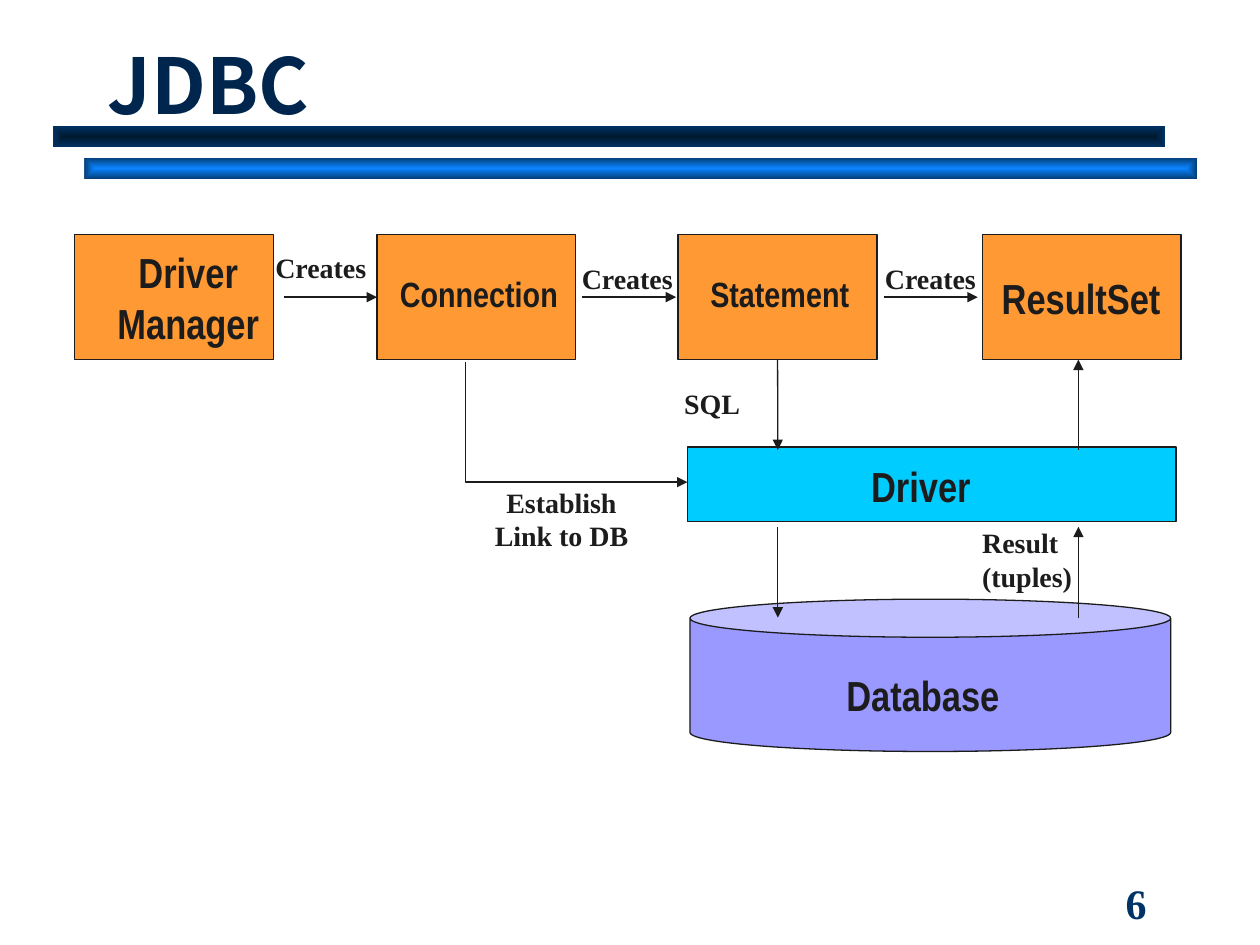
"""Builds the JDBC slide: the objects from driver manager to result set, over driver and database."""
from dataclasses import dataclass
from typing import NamedTuple

from lxml import etree
from pptx import Presentation
from pptx.dml.color import RGBColor
from pptx.enum.shapes import MSO_CONNECTOR, MSO_SHAPE
from pptx.enum.text import MSO_ANCHOR, MSO_AUTO_SIZE, PP_ALIGN
from pptx.oxml.ns import qn
from pptx.util import Cm, Pt

RECTANGLE, CAN = MSO_SHAPE.RECTANGLE, MSO_SHAPE.CAN
STRAIGHT = MSO_CONNECTOR.STRAIGHT
LEFT, CENTER = PP_ALIGN.LEFT, PP_ALIGN.CENTER
TOP, MIDDLE, BOTTOM = MSO_ANCHOR.TOP, MSO_ANCHOR.MIDDLE, MSO_ANCHOR.BOTTOM
FIXED, GROWING = MSO_AUTO_SIZE.NONE, MSO_AUTO_SIZE.SHAPE_TO_FIT_TEXT
LEFT_SITE, BOTTOM_SITE = 1, 2


@dataclass(frozen=True)
class Theme:
    ink: str = "1C1C1C"
    title: str = "00264D"
    number: str = "003366"
    api: str = "FF9933"
    driver: str = "00CCFF"
    database: str = "9999FF"
    dark_bar: tuple = ("00182F", "003366")
    bright_bar: tuple = ("0A84FF", "053D76")
    title_font: str = "Noto Sans CJK SC"
    part_font: str = "Arial Narrow"
    note_font: str = "Times New Roman"
    title_size: int = 44
    large: int = 24
    medium: int = 20
    small: int = 16
    line: float = 0.75


class Area(NamedTuple):
    left: float
    top: float
    width: float
    height: float

    def cm(self) -> list:
        return [Cm(length) for length in self]


class Part(NamedTuple):
    text: str
    area: Area
    label: Area
    color: str
    size: int
    outline: int = RECTANGLE


class Note(NamedTuple):
    text: str
    area: Area
    align: int = LEFT


THEME = Theme()
BARS = [(Area(1.7, 3.18, 22.43, 0.43), THEME.bright_bar),
        (Area(1.06, 2.54, 22.43, 0.43), THEME.dark_bar)]
API_TOP, API_WIDTH, API_HEIGHT = 4.73, 4.01, 2.52
API_MIDDLE = API_TOP + API_HEIGHT / 2


def api_part(text: str, left: float, label: Area, size: int) -> Part:
    """Describe one box of the top row."""
    return Part(text, Area(left, API_TOP, API_WIDTH, API_HEIGHT), label, THEME.api, size)


API_PARTS = [
    api_part("Driver\nManager", 1.5, Area(2.04, 4.85, 3.51, 2.29), THEME.large),
    api_part("Connection", 7.6, Area(7.75, 5.36, 3.81, 1.09), THEME.medium),
    api_part("Statement", 13.67, Area(13.99, 5.36, 3.46, 1.09), THEME.medium),
    api_part("ResultSet", 19.8, Area(19.89, 5.36, 3.81, 1.27), THEME.large),
]
BACKEND_PARTS = [
    Part("Driver", Area(13.86, 9.01, 9.85, 1.5), Area(17.26, 9.15, 2.61, 1.27),
         THEME.driver, THEME.large),
    Part("Database", Area(13.91, 12.08, 9.69, 3.07), Area(16.75, 13.37, 3.71, 1.27),
         THEME.database, THEME.large, CAN),
]
CREATES_STARTS, CREATES_LENGTH = [5.73, 11.74, 17.82], 1.89
REQUEST_X, RESULT_X = 15.68, 21.74
API_TO_DRIVER, DRIVER_TO_DATABASE = (7.25, 9.07), (10.62, 12.45)
LINK_POINTS = [(9.38, 7.3), (9.38, 9.72), (13.86, 9.72)]
NOTES = [
    Note("Creates", Area(5.3, 4.93, 2.46, 0.94)),
    Note("Creates", Area(11.48, 5.15, 2.46, 0.94)),
    Note("Creates", Area(17.59, 5.15, 2.46, 0.94)),
    Note("SQL", Area(13.54, 7.67, 1.73, 0.94)),
    Note("Result\n(tuples)", Area(19.55, 10.47, 2.47, 1.6)),
    Note("Establish\nLink to DB", Area(9.67, 9.66, 3.3, 1.6), CENTER),
]


def write(frame, text: str, *, font: str, size: int, color: str = THEME.ink,
          align: int = LEFT, anchor: int = TOP, wrap: bool = False,
          fit: int = FIXED) -> None:
    """Put bold text into a frame, one paragraph per line."""
    frame.text = text
    frame.word_wrap, frame.auto_size, frame.vertical_anchor = wrap, fit, anchor
    for paragraph in frame.paragraphs:
        paragraph.alignment = align
        paragraph.font.name, paragraph.font.size = font, Pt(size)
        paragraph.font.bold = True
        paragraph.font.color.rgb = RGBColor.from_string(color)


def draw_bar(slide, area: Area, colors: tuple) -> None:
    """Draw a bar shaded from its centre to its edges."""
    bar = slide.shapes.add_shape(RECTANGLE, *area.cm())
    bar.shadow.inherit = False
    bar.line.fill.background()
    bar.fill.gradient()
    for stop, color in zip(bar.fill.gradient_stops, colors):
        stop.color.rgb = RGBColor.from_string(color)
    gradient = bar.element.spPr.find(qn("a:gradFill"))
    gradient.remove(gradient.find(qn("a:lin")))
    shading = etree.Element(qn("a:path"), path="rect")
    etree.SubElement(shading, qn("a:fillToRect"), l="50000", t="50000", r="50000", b="50000")
    gradient.find(qn("a:gsLst")).addnext(shading)


def set_line(item, arrow: bool = False) -> None:
    """Give an item the thin ink line, with an arrowhead at its end if wanted."""
    item.line.color.rgb = RGBColor.from_string(THEME.ink)
    item.line.width = Pt(THEME.line)
    if arrow:
        etree.SubElement(item.line._get_or_add_ln(), qn("a:tailEnd"), type="triangle")


def draw_part(slide, part: Part):
    """Draw a part with its label and return its outline."""
    outline = slide.shapes.add_shape(part.outline, *part.area.cm())
    outline.shadow.inherit = False
    outline.fill.solid()
    outline.fill.fore_color.rgb = RGBColor.from_string(part.color)
    set_line(outline)
    label = slide.shapes.add_textbox(*part.label.cm())
    write(label.text_frame, part.text, font=THEME.part_font, size=part.size,
          align=CENTER, fit=GROWING)
    return outline


def draw_arrow(slide, start: tuple, end: tuple):
    """Draw a straight arrow and return it."""
    arrow = slide.shapes.add_connector(STRAIGHT, *(Cm(value) for value in start + end))
    set_line(arrow, arrow=True)
    etree.SubElement(arrow.element.spPr, qn("a:effectLst"))
    return arrow


def draw_link(slide, points: list) -> None:
    """Draw the bent arrow from connection to driver."""
    first, *rest = [(Cm(x), Cm(y)) for x, y in points]
    builder = slide.shapes.build_freeform(*first)
    builder.add_line_segments(rest, close=False)
    link = builder.convert_to_shape()
    link.shadow.inherit = False
    link.fill.background()
    set_line(link, arrow=True)


def main() -> None:
    """Build and save the slide."""
    deck = Presentation()
    deck.slide_width, deck.slide_height = Cm(25.4), Cm(19.05)
    slide = deck.slides.add_slide(deck.slide_layouts[5])

    title = slide.shapes.title
    title.left, title.top, title.width, title.height = Area(1.91, 0.42, 21.59, 2.33).cm()
    write(title.text_frame, "JDBC", font=THEME.title_font, size=THEME.title_size,
          color=THEME.title, anchor=BOTTOM, wrap=True)
    for area, colors in BARS:
        draw_bar(slide, area, colors)
    number = slide.shapes.add_textbox(*Area(22.44, 17.78, 2.74, 0.84).cm())
    write(number.text_frame, "6", font=THEME.note_font, size=THEME.large,
          color=THEME.number, anchor=MIDDLE)

    _, connection, statement, _ = [draw_part(slide, part) for part in API_PARTS]
    for part in BACKEND_PARTS:
        draw_part(slide, part)

    creates = [draw_arrow(slide, (start, API_MIDDLE), (start + CREATES_LENGTH, API_MIDDLE))
               for start in CREATES_STARTS]
    creates[0].end_connect(connection, LEFT_SITE)
    requests = []
    for upper, lower in (API_TO_DRIVER, DRIVER_TO_DATABASE):
        requests.append(draw_arrow(slide, (REQUEST_X, upper), (REQUEST_X, lower)))
        draw_arrow(slide, (RESULT_X, lower), (RESULT_X, upper))
    requests[0].begin_connect(statement, BOTTOM_SITE)
    draw_link(slide, LINK_POINTS)

    for note in NOTES:
        caption = slide.shapes.add_textbox(*note.area.cm())
        write(caption.text_frame, note.text, font=THEME.note_font, size=THEME.small,
              align=note.align, fit=GROWING)
    deck.save("out.pptx")


if __name__ == "__main__":
    main()
